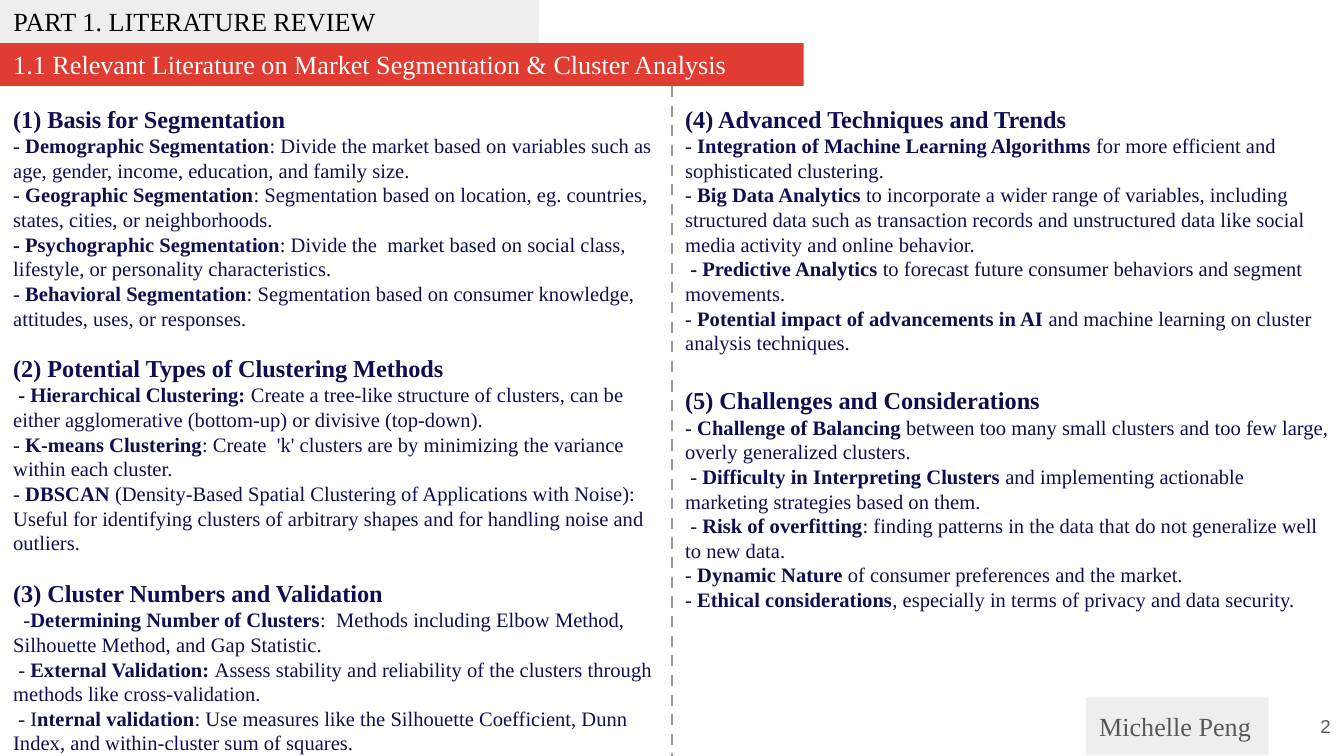
import pptx
import pptx.util
import pptx.dml.color
import pptx.enum.dml
import pptx.enum.shapes
import pptx.enum.text
from lxml import etree
from typing import NamedTuple

Inches, Pt = pptx.util.Inches, pptx.util.Pt
Align = pptx.enum.text.PP_ALIGN
Anchor = pptx.enum.text.MSO_ANCHOR

WIDE = 10
HIGH = WIDE * 9 / 16
BAR = 0.32
SERIF, SANS = "Times New Roman", "Arial"
COLORS = {"gray": "EEEEEE", "red": "E03C32", "navy": "0E0E51", "text": "595959",
          "black": "000000", "white": "FFFFFF", "rule": "999999"}


class Box(NamedTuple):
    left: float
    top: float
    width: float
    height: float


class Label(NamedTuple):
    text: str
    box: Box
    color: str
    fill: str | None = None
    size: int = 14
    font: str = SERIF
    align: Align = Align.LEFT


class Point(NamedTuple):
    mark: str
    key: str
    rest: str


class Topic(NamedTuple):
    head: str
    points: list[Point]


class Column(NamedTuple):
    box: Box
    gap: int
    topics: list[Topic]


# Content
TITLE = Label("PART 1. LITERATURE REVIEW", Box(0, 0, 4.01, BAR), "black", "gray")
LABELS = [
    Label("1.1 Relevant Literature on Market Segmentation & Cluster Analysis",
          Box(0, BAR, 5.98, BAR), "white", "red"),
    Label("Michelle Peng", Box(8.08, 5.19, 1.36, 0.43), "text", "gray"),
    Label("2", Box(9.4, 5.19, 0.6, 0.43), "text", None, 10, SANS, Align.RIGHT),
]
COLUMNS = [
    Column(Box(0, 2 * BAR, 5, 4.98), 10, [
        Topic("(1) Basis for Segmentation", [
            Point("- ", "Demographic Segmentation", ": Divide the market based on variables "
                  "such as age, gender, income, education, and family size."),
            Point("- ", "Geographic Segmentation", ": Segmentation based on location, "
                  "eg. countries, states, cities, or neighborhoods."),
            Point("", "- Psychographic Segmentation", ": Divide the  market based on social "
                  "class, lifestyle, or personality characteristics."),
            Point("-", " Behavioral Segmentation", ": Segmentation based on consumer "
                  "knowledge, attitudes, uses, or responses."),
        ]),
        Topic("(2) Potential Types of Clustering Methods", [
            Point(" ", "- Hierarchical Clustering:", " Create a tree-like structure of "
                  "clusters, can be either agglomerative (bottom-up) or divisive (top-down)."),
            Point("- ", "K-means Clustering", ": Create  'k' clusters are by minimizing the "
                  "variance within each cluster."),
            Point("- ", "DBSCAN", " (Density-Based Spatial Clustering of Applications with "
                  "Noise): Useful for identifying clusters of arbitrary shapes and for "
                  "handling noise and outliers."),
        ]),
        Topic("(3) Cluster Numbers and Validation", [
            Point("  -", "Determining Number of Clusters", ":  Methods including Elbow "
                  "Method, Silhouette Method, and Gap Statistic."),
            Point(" - ", "External Validation: ", "Assess stability and reliability of the "
                  "clusters through methods like cross-validation."),
            Point(" - I", "nternal validation", ": Use measures like the Silhouette "
                  "Coefficient, Dunn Index, and within-cluster sum of squares."),
        ]),
    ]),
    Column(Box(5, 2 * BAR, 5, 4.82), 14, [
        Topic("(4) Advanced Techniques and Trends", [
            Point("- ", "Integration of Machine Learning Algorithms ",
                  "for more efficient and sophisticated clustering."),
            Point("- ", "Big Data Analytics", " to incorporate a wider range of variables, "
                  "including structured data such as transaction records and unstructured "
                  "data like social media activity and online behavior."),
            Point("", " - Predictive Analytics ",
                  "to forecast future consumer behaviors and segment movements."),
            Point("- ", "Potential impact of advancements in AI ",
                  "and machine learning on cluster analysis techniques."),
        ]),
        Topic("(5) Challenges and Considerations", [
            Point("- ", "Challenge of Balancing", " between too many small clusters and "
                  "too few large, overly generalized clusters."),
            Point(" - ", "Difficulty in Interpreting Clusters",
                  " and implementing actionable marketing strategies based on them."),
            Point(" - ", "Risk of overfitting",
                  ": finding patterns in the data that do not generalize well to new data."),
            Point("- ", "Dynamic Nature", " of consumer preferences and the market."),
            Point("- ", "Ethical considerations",
                  ", especially in terms of privacy and data security."),
        ]),
    ]),
]


def paint(name: str) -> pptx.dml.color.RGBColor:
    return pptx.dml.color.RGBColor.from_string(COLORS[name])


def style(run, size: int, color: str, bold: bool = False, font: str = SERIF) -> None:
    run.font.name, run.font.size, run.font.bold = font, Pt(size), bold
    run.font.color.rgb = paint(color)


def place(shape, box: Box) -> None:
    shape.left, shape.top, shape.width, shape.height = map(Inches, box)


def frame(shape, anchor: Anchor):
    body = shape.text_frame
    body.word_wrap = True
    body.auto_size = pptx.enum.text.MSO_AUTO_SIZE.NONE
    body.vertical_anchor = anchor
    body.margin_left = body.margin_right = Inches(0.1)
    body.margin_top = body.margin_bottom = Inches(0.1)
    return body


def fill_label(shape, label: Label) -> None:
    place(shape, label.box)
    if label.fill:
        shape.fill.solid()
        shape.fill.fore_color.rgb = paint(label.fill)
        shape.line.fill.background()
    body = frame(shape, Anchor.MIDDLE)
    body.text = label.text
    para = body.paragraphs[0]
    para.alignment = label.align
    style(para.runs[0], label.size, label.color, font=label.font)


def add_label(slide, label: Label) -> None:
    if label.fill:
        kind = pptx.enum.shapes.MSO_SHAPE.RECTANGLE
        shape = slide.shapes.add_shape(kind, *map(Inches, label.box))
        shape.shadow.inherit = False
    else:
        shape = slide.shapes.add_textbox(*map(Inches, label.box))
    fill_label(shape, label)


def add_column(slide, column: Column) -> None:
    body = frame(slide.shapes.add_textbox(*map(Inches, column.box)), Anchor.TOP)
    for rank, topic in enumerate(column.topics):
        head = body.add_paragraph() if rank else body.paragraphs[0]
        head.text = topic.head
        head.line_spacing = 1.15
        head.space_before = Pt(column.gap if rank else 0)
        style(head.runs[0], 13, "navy", True)
        for point in topic.points:
            para = body.add_paragraph()
            para.line_spacing = 1.0
            for text, bold in zip(point, (False, True, False)):
                if text:
                    run = para.add_run()
                    run.text = text
                    style(run, 11, "navy", bold)


def add_rule(slide) -> None:
    kind = pptx.enum.shapes.MSO_CONNECTOR.STRAIGHT
    mid = Inches(WIDE / 2)
    rule = slide.shapes.add_connector(kind, mid, Inches(2 * BAR), mid, Inches(HIGH))
    rule.line.color.rgb = paint("rule")
    rule.line.width = Pt(1.5)
    rule.line.dash_style = pptx.enum.dml.MSO_LINE.DASH
    etree.SubElement(rule._element.spPr, pptx.oxml.ns.qn("a:effectLst"))


def main() -> None:
    deck = pptx.Presentation()
    deck.slide_width, deck.slide_height = Inches(WIDE), Inches(HIGH)
    slide = deck.slides.add_slide(deck.slide_layouts[5])
    # Heading bars, author and page number
    fill_label(slide.shapes.title, TITLE)
    for label in LABELS:
        add_label(slide, label)
    # Review text and divider
    for column in COLUMNS:
        add_column(slide, column)
    add_rule(slide)
    deck.save("out.pptx")


if __name__ == "__main__":
    main()
